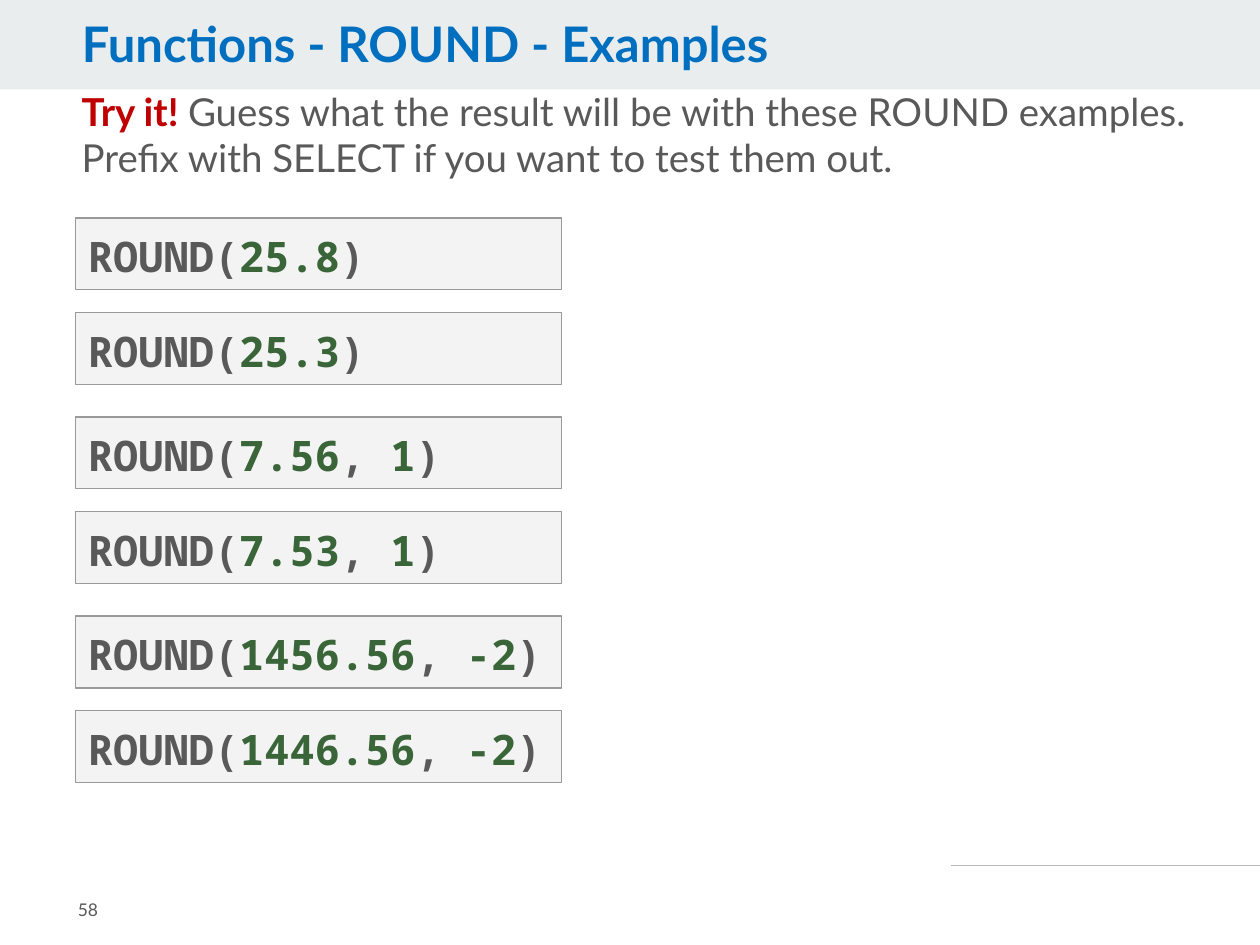
from lxml import etree
from pptx import Presentation
from pptx.dml.color import RGBColor
from pptx.enum.shapes import MSO_CONNECTOR, MSO_SHAPE
from pptx.enum.text import MSO_ANCHOR, PP_ALIGN
from pptx.oxml.ns import qn
from pptx.util import Inches, Pt

RECTANGLE = MSO_SHAPE.RECTANGLE
STRAIGHT = MSO_CONNECTOR.STRAIGHT
TOP, MIDDLE = MSO_ANCHOR.TOP, MSO_ANCHOR.MIDDLE
LEFT = PP_ALIGN.LEFT

WIDTH, HEIGHT = 10, 7.5
TEXT_FONT, CODE_FONT = "Lato", "Noto Sans Mono"
GREY, BLUE, RED, GREEN = "595959", "006FBF", "C00000", "396539"
BAND, CODE_FILL, CODE_LINE, RULE = "E9EDEE", "F3F3F3", "999999", "B7B7B7"

# Arguments of ROUND, in pairs that belong together
EXAMPLE_PAIRS = [
    (["25.8"], ["25.3"]),
    (["7.56", "1"], ["7.53", "1"]),
    (["1456.56", "-2"], ["1446.56", "-2"]),
]


def color(value):
    return RGBColor.from_string(value)


def inches(box):
    return [Inches(length) for length in box]


def write(shape, runs, size, font=TEXT_FONT, anchor=TOP, inset=0.05):
    """Fill the shape with one paragraph of (text, colour, bold) runs."""
    frame = shape.text_frame
    frame.word_wrap = True
    frame.vertical_anchor = anchor
    frame.margin_left = frame.margin_right = Inches(0.1)
    frame.margin_top = frame.margin_bottom = Inches(inset)
    paragraph = frame.paragraphs[0]
    paragraph.alignment = LEFT
    for text, run_color, bold in runs:
        run = paragraph.add_run()
        run.text = text
        run.font.name = font
        run.font.size = Pt(size)
        run.font.bold = bold
        run.font.color.rgb = color(run_color)
    return paragraph


def add_rectangle(slide, box, fill, line=None):
    shape = slide.shapes.add_shape(RECTANGLE, *inches(box))
    shape.shadow.inherit = False
    shape.fill.solid()
    shape.fill.fore_color.rgb = color(fill)
    if line:
        shape.line.color.rgb = color(line)
        shape.line.width = Pt(0.75)
    else:
        shape.line.fill.background()
    return shape


def add_header(slide, box, text):
    left, top, width, height = box
    add_rectangle(slide, box, BAND)
    title = slide.shapes.title
    title.left, title.top, title.width, title.height = inches(
        (left + 0.055 * width, top + 0.155 * height, 0.788 * width, 0.775 * height))
    paragraph = write(title, [(text, BLUE, True)], 28)
    paragraph.line_spacing = 0.9
    # The title lies in front of the band
    slide.shapes._spTree.append(title._element)


def add_introduction(slide, box):
    write(slide.shapes.add_textbox(*inches(box)), [
        ("Try it! ", RED, True),
        ("Guess what the result will be with these ROUND examples. "
         "Prefix with SELECT if you want to test them out.", GREY, False),
    ], 22)


def code_runs(arguments):
    runs = [("ROUND(", GREY, True)]
    for index, argument in enumerate(arguments):
        if index:
            runs.append((", ", GREY, True))
        runs.append((argument, GREEN, True))
    return runs + [(")", GREY, True)]


def add_examples(slide, box):
    """Stack the code boxes, with a wider gap between the pairs."""
    left, top, width, height = box
    row_height, row_pitch = 0.57, 0.75
    pair_height = row_pitch + row_height
    pair_pitch = (height - pair_height) / (len(EXAMPLE_PAIRS) - 1)
    for pair_index, pair in enumerate(EXAMPLE_PAIRS):
        for row, arguments in enumerate(pair):
            row_top = top + pair_index * pair_pitch + row * row_pitch
            code_box = add_rectangle(
                slide, (left, row_top, width, row_height), CODE_FILL, CODE_LINE)
            write(code_box, code_runs(arguments), 24, CODE_FONT, inset=0.1)


def add_footer(slide, box, number):
    left, top, width, height = box
    # Rule that runs off to the right edge
    rule = slide.shapes.add_connector(
        STRAIGHT, *inches((left + 0.755 * width, top, left + width, top)))
    rule.line.color.rgb = color(RULE)
    rule.line.width = Pt(0.75)
    etree.SubElement(rule._element.spPr, qn("a:effectLst"))
    # Slide number
    number_box = slide.shapes.add_textbox(
        *inches((left + 0.052 * width, top + 0.06, 0.123 * width, height - 0.06)))
    write(number_box, [(number, GREY, False)], 10, anchor=MIDDLE, inset=0.1)


def main():
    presentation = Presentation()
    presentation.slide_width, presentation.slide_height = inches((WIDTH, HEIGHT))
    slide = presentation.slides.add_slide(presentation.slide_layouts[5])
    add_header(slide, (0, 0, WIDTH, 0.71), "Functions - ROUND - Examples")
    add_introduction(slide, (0.55, 0.65, 9.26, 5.9))
    add_examples(slide, (0.6, 1.73, 3.86, 4.48))
    add_footer(slide, (0, 6.87, WIDTH, HEIGHT - 6.87), "58")
    presentation.save("out.pptx")


if __name__ == "__main__":
    main()
